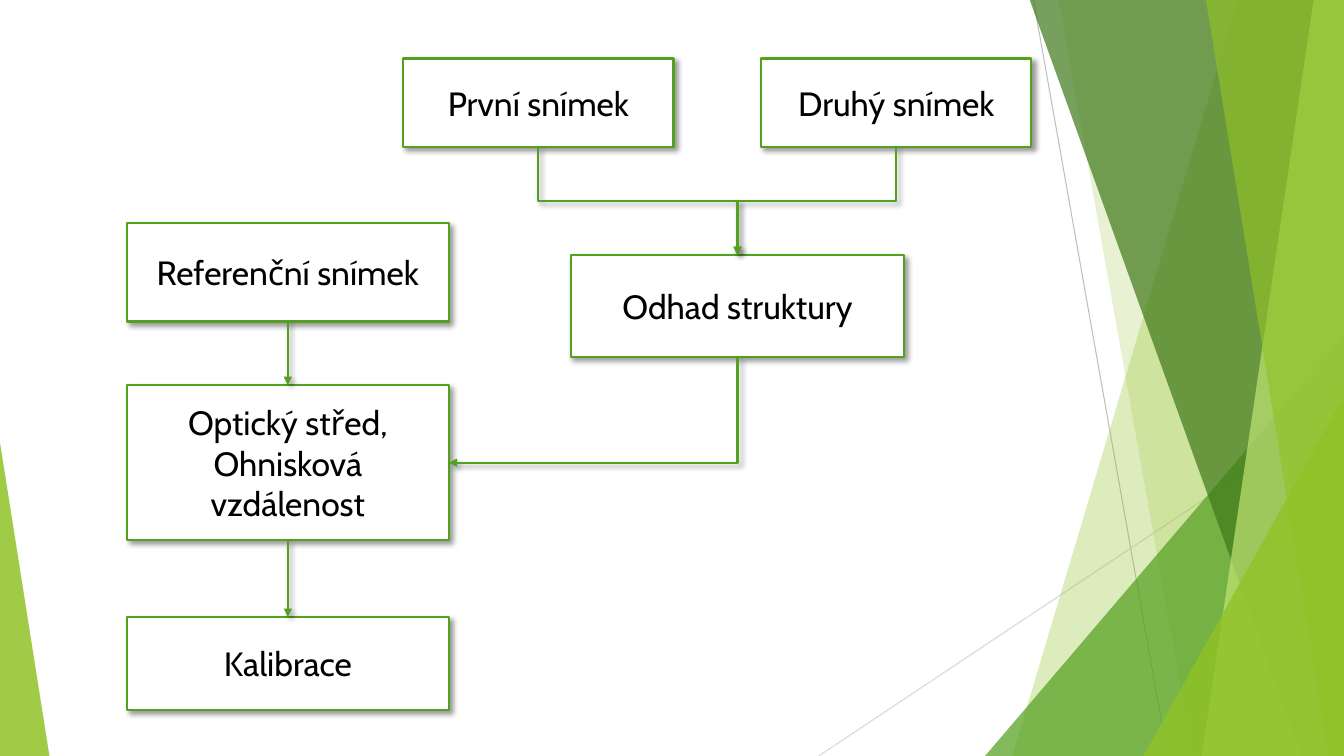
"""Build a slide with a flowchart of camera calibration from images."""
from lxml import etree
from pptx import Presentation
from pptx.dml.color import RGBColor
from pptx.enum import shapes, text
from pptx.oxml import ns
from pptx.util import Inches, Pt

WHITE = RGBColor(0xFF, 0xFF, 0xFF)
BLACK = RGBColor(0x00, 0x00, 0x00)
GREEN = RGBColor(0x54, 0xA0, 0x21)
LIME = RGBColor(0x90, 0xC2, 0x26)
DARK_GREEN = RGBColor(0x3F, 0x78, 0x19)
PALE_GREEN = RGBColor(0xC0, 0xE4, 0x74)
GREY = RGBColor(0xBF, 0xBF, 0xBF)
LIGHT_GREY = RGBColor(0xD9, 0xD9, 0xD9)

WIDTH, HEIGHT = 13.33, 7.5
BAND_TOP = -0.01
TOP, LEFT, BOTTOM, RIGHT = range(4)


def add_child(parent, tag, **attributes):
    """Append a DrawingML element and return it."""
    return etree.SubElement(parent, ns.qn(tag), attributes)


def add_shadow(shape):
    """Give a shape or connector a soft shadow to the lower right."""
    effects = add_child(shape._element.spPr, "a:effectLst")
    shadow = add_child(effects, "a:outerShdw", blurRad=str(Pt(4)), dist=str(Pt(3)),
                       dir="2700000", algn="tl", rotWithShape="0")
    color = add_child(shadow, "a:srgbClr", val=str(BLACK))
    add_child(color, "a:alpha", val="40000")


def fill_translucent(shape, color, opacity):
    """Fill a decorative shape with a colour at an opacity in percent."""
    shape.fill.solid()
    shape.fill.fore_color.rgb = color
    color_element = shape._element.spPr.find(ns.qn("a:solidFill"))[0]
    add_child(color_element, "a:alpha", val=str(opacity * 1000))
    shape.line.fill.background()
    shape.shadow.inherit = False


def add_band(slide, top_left, bottom_left, color, opacity):
    """Draw a band from a slanted left edge to the right slide edge."""
    corners = [(WIDTH, BAND_TOP), (WIDTH, HEIGHT), (bottom_left, HEIGHT)]
    builder = slide.shapes.build_freeform(Inches(top_left), Inches(BAND_TOP))
    builder.add_line_segments([(Inches(x), Inches(y)) for x, y in corners])
    fill_translucent(builder.convert_to_shape(), color, opacity)


def add_triangle(slide, left, top, width, apex, color, opacity):
    """Draw a triangle that stands on the bottom edge of the slide."""
    shape = slide.shapes.add_shape(
        shapes.MSO_SHAPE.ISOSCELES_TRIANGLE,
        Inches(left), Inches(top), Inches(width), Inches(HEIGHT - top))
    shape.adjustments[0] = apex
    fill_translucent(shape, color, opacity)


def add_hairline(slide, start, end, color):
    """Draw a thin decorative line."""
    line = slide.shapes.add_connector(
        shapes.MSO_CONNECTOR.STRAIGHT, *(Inches(value) for value in start + end))
    line.line.color.rgb = color
    line.line.width = Pt(0.75)
    add_child(line._element.spPr, "a:effectLst")


def write_text(shape, content, *, size=24, font="Cabin", color=BLACK):
    """Write centred text into a shape."""
    frame = shape.text_frame
    frame.word_wrap = True
    frame.vertical_anchor = text.MSO_ANCHOR.MIDDLE
    paragraph = frame.paragraphs[0]
    paragraph.alignment = text.PP_ALIGN.CENTER
    run = paragraph.add_run()
    run.text = content
    run.font.size = Pt(size)
    run.font.name = font
    run.font.color.rgb = color


def add_box(slide, content, left, top, width, height):
    """Draw a labelled box of the flowchart."""
    box = slide.shapes.add_shape(
        shapes.MSO_SHAPE.RECTANGLE,
        Inches(left), Inches(top), Inches(width), Inches(height))
    box.fill.solid()
    box.fill.fore_color.rgb = WHITE
    box.line.color.rgb = GREEN
    box.line.width = Pt(1.5)
    add_shadow(box)
    write_text(box, content)
    return box


def add_arrow(slide, source, target, side=TOP, kind=shapes.MSO_CONNECTOR.STRAIGHT):
    """Connect the bottom of one box to a side of another."""
    arrow = slide.shapes.add_connector(kind, 0, 0, 0, 0)
    arrow.begin_connect(source, BOTTOM)
    arrow.end_connect(target, side)
    arrow.line.color.rgb = GREEN
    arrow.line.width = Pt(1.5)
    outline = arrow._element.spPr.find(ns.qn("a:ln"))
    add_child(outline, "a:tailEnd", type="triangle")
    add_shadow(arrow)
    return arrow


def add_elbow(slide, source, target, side=TOP, preset="bentConnector3"):
    """Connect two boxes by a bent arrow that leaves downwards."""
    arrow = add_arrow(slide, source, target, side, shapes.MSO_CONNECTOR.ELBOW)
    start_x, start_y = arrow.begin_x, arrow.begin_y
    end_x, end_y = arrow.end_x, arrow.end_y
    rightwards = end_x > start_x
    length, breadth = end_y - start_y, abs(end_x - start_x)
    properties = arrow._element.spPr
    frame = properties.find(ns.qn("a:xfrm"))
    frame.attrib.clear()
    frame.set("rot", str((270 if rightwards else 90) * 60000))
    if rightwards:
        frame.set("flipH", "1")
    arrow.left = (start_x + end_x - length) // 2
    arrow.top = (start_y + end_y - breadth) // 2
    arrow.width, arrow.height = length, breadth
    properties.find(ns.qn("a:prstGeom")).set("prst", preset)


def add_background(slide):
    """Draw the green facets along the slide edges."""
    add_hairline(slide, (10.25, 0), (11.58, HEIGHT), GREY)
    add_hairline(slide, (WIDTH, 4.03), (8.12, HEIGHT), LIGHT_GREY)
    add_band(slide, 12.28, 10.04, LIME, 30)
    add_band(slide, 10.5, 11.83, LIME, 20)
    add_triangle(slide, 9.77, 3.33, 3.56, 1, GREEN, 72)
    add_band(slide, 10.21, 12.91, DARK_GREEN, 70)
    add_band(slide, 13.03, 11.92, PALE_GREEN, 70)
    add_band(slide, 11.96, 13.18, LIME, 65)
    add_triangle(slide, 11.34, 3.93, 1.99, 1, LIME, 80)
    add_triangle(slide, 0, 4.39, 0.49, 0, LIME, 85)


def add_flowchart(slide):
    """Draw the boxes and the arrows between them."""
    first = add_box(slide, "První snímek", 4, 0.58, 2.68, 0.88)
    second = add_box(slide, "Druhý snímek", 7.55, 0.58, 2.68, 0.88)
    structure = add_box(slide, "Odhad struktury", 5.66, 2.53, 3.31, 1.01)
    reference = add_box(slide, "Referenční snímek", 1.26, 2.21, 3.19, 0.98)
    optics = add_box(slide, "Optický střed, Ohnisková vzdálenost",
                     1.26, 3.82, 3.19, 1.54)
    calibration = add_box(slide, "Kalibrace", 1.26, 6.12, 3.19, 0.92)
    add_elbow(slide, first, structure)
    add_elbow(slide, second, structure)
    add_elbow(slide, structure, optics, RIGHT, "bentConnector2")
    add_arrow(slide, reference, optics)
    add_arrow(slide, optics, calibration)


def main():
    """Build and save the presentation."""
    presentation = Presentation()
    presentation.slide_width = Inches(WIDTH)
    presentation.slide_height = Inches(HEIGHT)
    slide = presentation.slides.add_slide(presentation.slide_layouts[6])
    add_background(slide)
    add_flowchart(slide)
    presentation.save("out.pptx")


if __name__ == "__main__":
    main()
